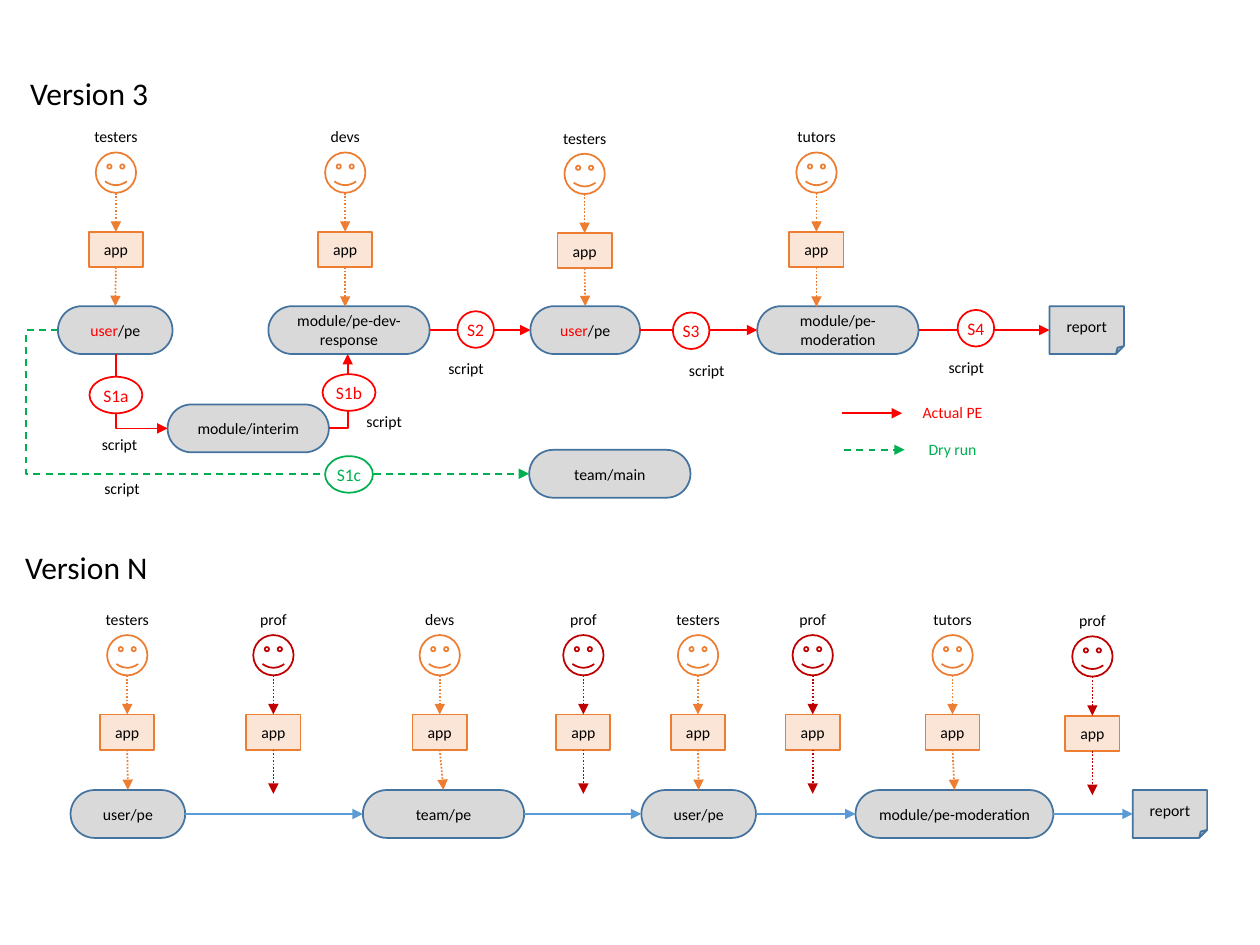
from pptx import Presentation
from pptx.dml.color import RGBColor
from pptx.enum.dml import MSO_LINE as DASH
from pptx.enum.shapes import MSO_CONNECTOR as CONN, MSO_SHAPE as SHAPE
from pptx.enum.text import MSO_ANCHOR, MSO_AUTO_SIZE, PP_ALIGN
from pptx.oxml.ns import qn
from pptx.util import Inches, Pt
from lxml.etree import SubElement

# The slide is a grid of 100 columns by 75 rows of square cells.
CELL = Inches(0.1)
COLS, ROWS = 100, 75
C = {"black": "000000", "white": "FFFFFF", "red": "FF0000", "green": "00B050",
     "orange": "ED7D31", "peach": "FBE5D6", "crimson": "C00000",
     "grey": "D9D9D9", "steel": "43739E", "blue": "5B9BD5"}
TOP, LEFT, BOTTOM, RIGHT = range(4)
BOX_H = 3.8

prs = Presentation()
prs.slide_width, prs.slide_height = COLS * CELL, ROWS * CELL
slide = prs.slides.add_slide(prs.slide_layouts[6])


def node(kind, x, y, w, h, runs=(), fill=None, line=None, size=9,
         align=PP_ALIGN.CENTER, inset=None):
    """Add a shape, or a text box if kind is None; runs are (text, colour)."""
    place = [int(v * CELL) for v in (x, y, w, h)]
    if kind is None:
        s = slide.shapes.add_textbox(*place)
    else:
        s = slide.shapes.add_shape(kind, *place)
        s.shadow.inherit = False
        s.line.color.rgb = RGBColor.from_string(C[line])
        s.line.width = Pt(1)
        if fill:
            s.fill.solid()
            s.fill.fore_color.rgb = RGBColor.from_string(C[fill])
        else:
            s.fill.background()
        if kind == SHAPE.ROUNDED_RECTANGLE:
            s.adjustments[0] = 0.5
    tf = s.text_frame
    frame = {"word_wrap": True,
             "vertical_anchor": MSO_ANCHOR.MIDDLE if kind else MSO_ANCHOR.TOP}
    if kind is None:
        frame["auto_size"] = MSO_AUTO_SIZE.SHAPE_TO_FIT_TEXT
    if inset is not None:
        for side in ("left", "top", "right", "bottom"):
            frame["margin_" + side] = inset
    for name, value in frame.items():
        setattr(tf, name, value)
    p = tf.paragraphs[0]
    p.alignment = align
    for text, color in runs:
        r = p.add_run()
        r.text = text
        for name, value in {"name": "Calibri", "size": Pt(size)}.items():
            setattr(r.font, name, value)
        r.font.color.rgb = RGBColor.from_string(C[color])
    return s


def arrow(x1, y1, x2, y2, color, dash=None, kind=CONN.STRAIGHT, begin=None, end=None):
    """Add an arrow; begin and end are (shape, side) pairs to join."""
    c = slide.shapes.add_connector(kind, *[int(v * CELL) for v in (x1, y1, x2, y2)])
    if begin:
        c.begin_connect(*begin)
    if end:
        c.end_connect(*end)
    c.line.color.rgb = RGBColor.from_string(C[color])
    c.line.width = Pt(1)
    if dash:
        c.line.dash_style = dash
    SubElement(c.line._get_or_add_ln(), qn("a:tailEnd"), type="triangle")
    SubElement(c._element.spPr, qn("a:effectLst"))
    return c


# Titles
for title, x, y in (("Version 3", 1.4, 5.4), ("Version N", 1, 43)):
    node(None, x, y, 15.1, 4, [(title, "black")], size=18, align=PP_ALIGN.LEFT)

# Stores of both versions: name, left, top, width, runs
USER_PE = [("user", "red"), ("/pe", "black")]
V3_Y, VN_Y = 24.3, 62.7
stores = {}
for name, x, y, w, runs in (
        ("v3 testers", 4.6, V3_Y, 9.1, USER_PE),
        ("v3 devs", 21.3, V3_Y, 12.8, [("module/pe-dev-response", "black")]),
        ("v3 testers 2", 42.1, V3_Y, 8.7, USER_PE),
        ("v3 tutors", 60.1, V3_Y, 12.8, [("module/pe-moderation", "black")]),
        ("v3 report", 83.3, V3_Y, 5.9, [("report", "black")]),
        ("interim", 13.3, 32.1, 12.8, [("module/interim", "black")]),
        ("main", 42, 35.7, 12.8, [("team/main", "black")]),
        ("vn testers", 5.6, VN_Y, 9.1, [("user/pe", "black")]),
        ("vn devs", 28.8, VN_Y, 12.8, [("team/pe", "black")]),
        ("vn testers 2", 50.9, VN_Y, 9.1, [("user/pe", "black")]),
        ("vn tutors", 67.9, VN_Y, 15.7, [("module/pe-moderation", "black")]),
        ("vn report", 89.9, VN_Y, 5.9, [("report", "black")])):
    kind = SHAPE.FOLDED_CORNER if "report" in name else SHAPE.ROUNDED_RECTANGLE
    stores[name] = node(kind, x, y, w, BOX_H, runs, "grey", "steel")

# Arrows from store to store along each version
STAGES = ("testers", "devs", "testers 2", "tutors", "report")
for version, color, first in (("v3", "red", 1), ("vn", "blue", 0)):
    names = [f"{version} {stage}" for stage in STAGES[first:]]
    for a, b in zip(names, names[1:]):
        arrow(0, 0, 0, 0, color, begin=(stores[a], RIGHT), end=(stores[b], LEFT))

# People, each using the app: role, centre, top, store joined below
V3_TOP, VN_TOP = 9.6, 47.9
for role, x, y, store in (
        ("testers", 9.2, V3_TOP, "v3 testers"), ("devs", 27.4, V3_TOP, None),
        ("testers", 46.4, V3_TOP + 0.1, "v3 testers 2"), ("tutors", 64.8, V3_TOP, None),
        ("testers", 10.1, VN_TOP, "vn testers"), ("prof", 21.7, VN_TOP, None),
        ("devs", 34.9, VN_TOP, "vn devs"), ("prof", 46.3, VN_TOP, None),
        ("testers", 55.4, VN_TOP, "vn testers 2"), ("prof", 64.5, VN_TOP, None),
        ("tutors", 75.6, VN_TOP, "vn tutors"), ("prof", 86.7, VN_TOP + 0.1, None)):
    color = "crimson" if role == "prof" else "orange"
    reach = 15.1 if role == "prof" else 14.75
    node(None, x - 3.75, y, 7.5, 2.5, [(role, "black")])
    node(SHAPE.SMILEY_FACE, x - 1.6, y + 2.5, 3.2, 3.2, line=color)
    app = node(SHAPE.RECTANGLE, x - 2.15, y + 8.8, 4.3, 2.8,
               [("app", "black")], "peach", "orange")
    arrow(x, y + 5.7, x, y + 8.8, color, DASH.ROUND_DOT, end=(app, TOP))
    arrow(x, y + 11.6, x, y + reach, color, DASH.ROUND_DOT, begin=(app, BOTTOM),
          end=(stores[store], TOP) if store else None)

# Bent arrows: down and right, right and up, and round the left side
down = arrow(14.2, 29, 8.3, 33.1, "red", kind=CONN.ELBOW)
down._element.spPr.find(qn("a:xfrm")).set("rot", str(270 * 60000))
up = arrow(26.1, 34, 27.6, 28.1, "red", kind=CONN.ELBOW)
for c in (down, up):
    c._element.spPr.find(qn("a:prstGeom")).set("prst", "bentConnector2")
around = arrow(4.6, 26.2, 42, 37.6, "green", DASH.DASH, CONN.ELBOW)
guides = around._element.spPr.find(qn("a:prstGeom")).get_or_add_avLst()
SubElement(guides, qn("a:gd"), name="adj1", fmla="val -6700")

# Script steps on the arrows
for step, x, y, w, color in (
        ("S1c", 25.8, 36.2, 3.8, "green"), ("S1a", 7.1, 29.9, 4.2, "red"),
        ("S1b", 25.6, 29.7, 4.2, "red"), ("S2", 36.3, 24.7, 2.9, "red"),
        ("S3", 53.4, 24.8, 2.9, "red"), ("S4", 76, 24.6, 2.9, "red")):
    node(SHAPE.FLOWCHART_CONNECTOR, x, y, w, 2.9, [(step, color)], "white", color,
         size=10, inset=0)
for x, y in ((7.1, 34), (34.6, 28), (74.3, 27.9), (53.7, 28.1), (28.1, 32.2), (7.3, 37.5)):
    node(None, x, y, 5.6, 2.5, [("script", "black")], align=PP_ALIGN.LEFT)

# Legend
for text, x, y, color, dash in (("Actual PE", 66.8, 32.8, "red", None),
                                ("Dry run", 67, 35.7, "green", DASH.DASH)):
    arrow(x, y, x + 4.8, y, color, dash)
    node(None, 71.6, y - 1.3, 8, 2.5, [(text, color)])

prs.save("out.pptx")
